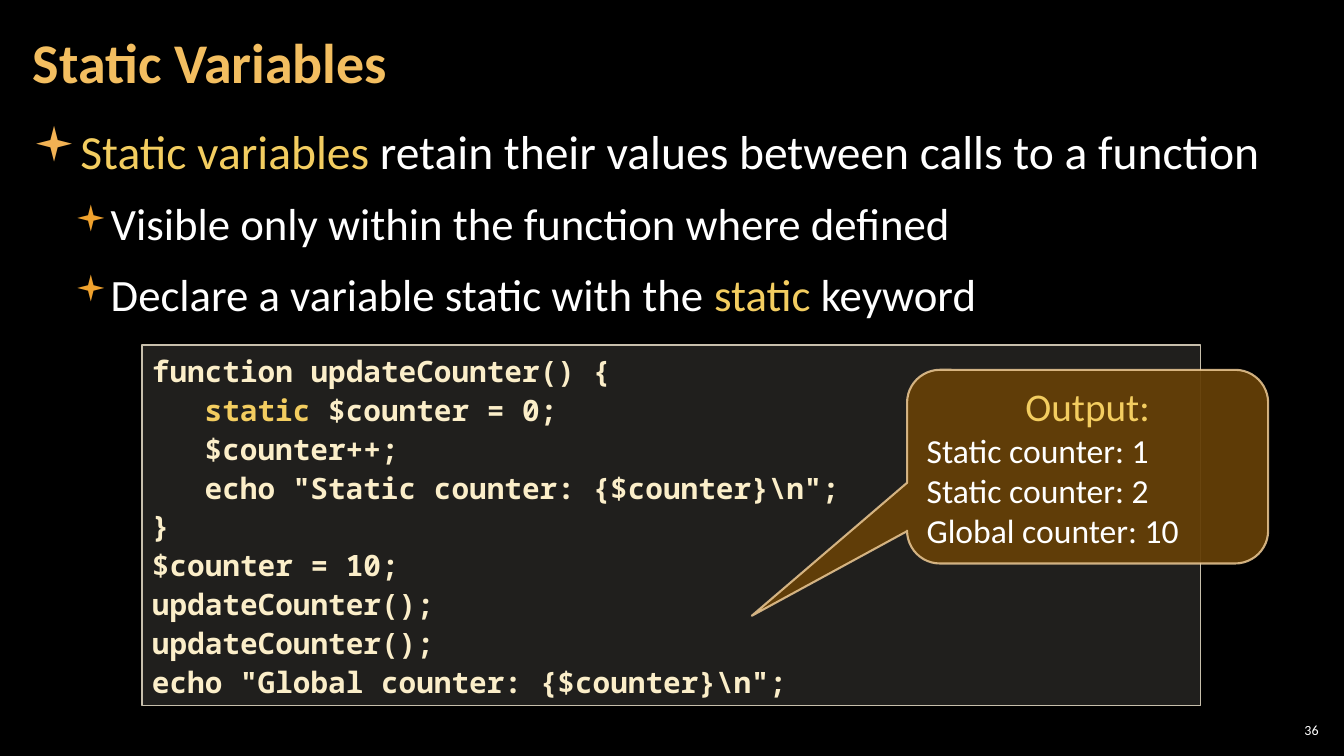
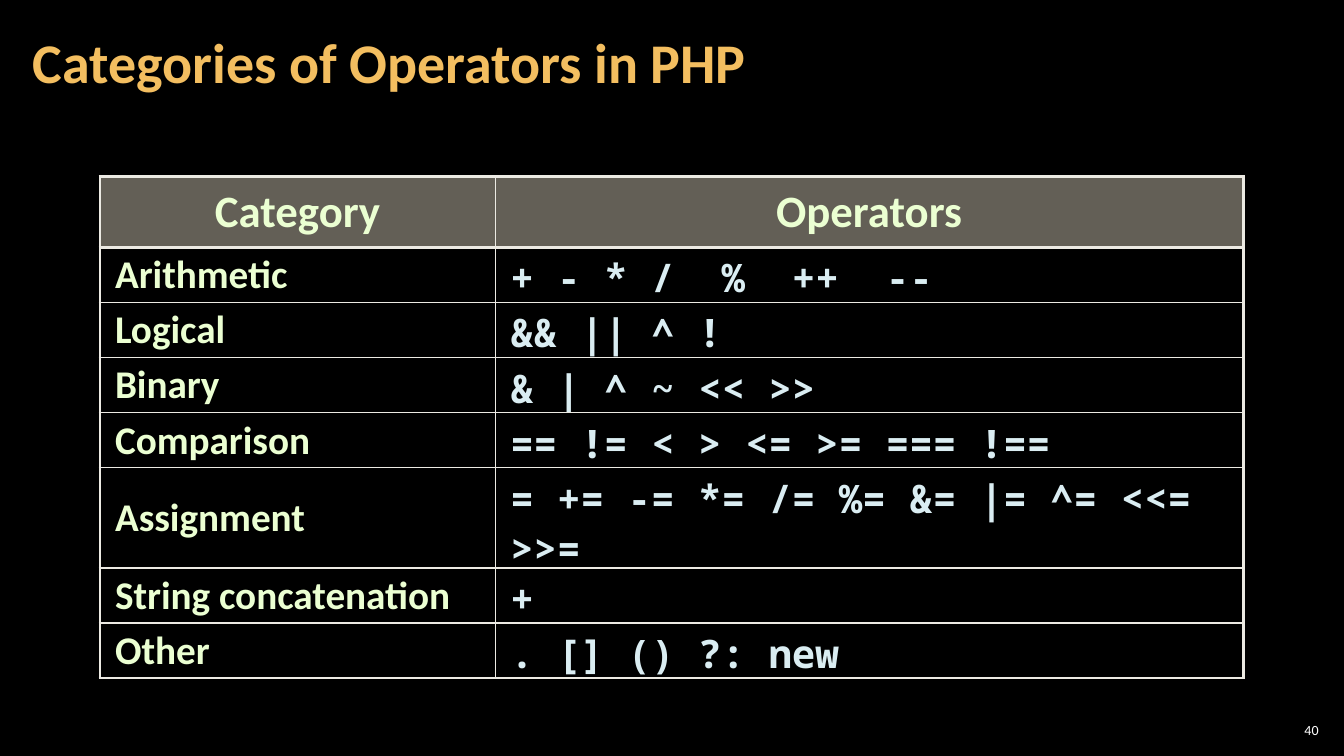
from lxml import etree
from pptx import Presentation
from pptx.dml.color import RGBColor
from pptx.enum import shapes, text
from pptx.oxml import ns
from pptx.util import Cm, Pt

BLACK = RGBColor(0x00, 0x00, 0x00)
WHITE = RGBColor(0xFF, 0xFF, 0xFF)
GOLD = RGBColor(0xF3, 0xBE, 0x60)
YELLOW = RGBColor(0xF3, 0xCD, 0x60)
AMBER = RGBColor(0xF2, 0xB2, 0x54)
ORANGE = RGBColor(0xF0, 0xA2, 0x2E)
CREAM = RGBColor(0xFB, 0xEE, 0xC9)
PALE = RGBColor(0xD9, 0xD5, 0xC7)
SAND = RGBColor(0xC7, 0xBF, 0xAC)
BROWN = RGBColor(0x64, 0x3F, 0x07)
PEACH = RGBColor(0xF8, 0xD4, 0x9E)
LIME = RGBColor(0xEB, 0xFF, 0xD2)
ICE = RGBColor(0xDA, 0xED, 0xF2)
RULE = RGBColor(0xEC, 0xEA, 0xE3)

SANS = "Calibri"
MONO = "Noto Sans Mono"
LEFT, MID, RIGHT = text.PP_ALIGN.LEFT, text.PP_ALIGN.CENTER, text.PP_ALIGN.RIGHT
CENTRE = text.MSO_ANCHOR.MIDDLE

BODY = [
    (0, [("Static variables ", True), ("retain their values between calls to a function", False)]),
    (1, [("Visible only within the function where defined", False)]),
    (1, [("Declare a variable static with the ", False), ("static", True), (" keyword", False)]),
]
CODE = [
    (0, [("function updateCounter() {", False)]),
    (1, [("static ", True), ("$counter = 0;", False)]),
    (1, [("$counter++;", False)]),
    (1, [('echo "Static counter: {$counter}\\n";', False)]),
    (0, [("}", False)]),
    (0, [("$counter = 10;", False)]),
    (0, [("updateCounter();", False)]),
    (0, [("updateCounter();", False)]),
    (0, [('echo "Global counter: {$counter}\\n";', False)]),
]
OUTPUT = ["Static counter: 1", "Static counter: 2", "Global counter: 10"]
TABLE = [
    ("Category", "Operators"),
    ("Arithmetic", "+ - * /  %  ++  --"),
    ("Logical", "&& || ^ !"),
    ("Binary", "& | ^ ~ << >>"),
    ("Comparison", "== != < > <= >= === !=="),
    ("Assignment", "= += -= *= /= %= &= |= ^= <<= >>="),
    ("String concatenation", "+"),
    ("Other", ". [] () ?: new"),
]


def node(parent, tag, **attrs):
    """Add a drawing element with attributes."""
    item = etree.SubElement(parent, ns.qn(tag))
    for key, value in attrs.items():
        item.set(key, str(value))
    return item


def fade(fill, percent):
    """Set the opacity of a solid fill."""
    color = fill._xPr.find(ns.qn("a:solidFill"))[0]
    node(color, "a:alpha", val=percent * 1000)


def style(font, size, color, name=SANS, bold=False):
    """Set the look of a font."""
    font.size, font.name, font.bold = Pt(size), name, bold
    font.color.rgb = color


def lines(frame, count):
    """Return the given number of paragraphs of a frame."""
    return [frame.paragraphs[0]] + [frame.add_paragraph() for _ in range(count - 1)]


def fill_runs(para, parts):
    """Add runs and highlight the marked ones."""
    for words, hot in parts:
        run = para.add_run()
        run.text = words
        if hot:
            run.font.color.rgb = YELLOW


def set_pad(frame, side, edge):
    """Wrap a frame and set its margins."""
    frame.word_wrap = True
    frame.margin_left = frame.margin_right = Cm(side)
    frame.margin_top = frame.margin_bottom = Cm(edge)


def indent(para, left, hang=0):
    """Set the left margin and hanging indent."""
    props = para._p.get_or_add_pPr()
    props.set("marL", str(Cm(left)))
    props.set("indent", str(-Cm(hang)))
    return props


def add_base(deck, title, number):
    """Add a slide with its title and number."""
    slide = deck.slides.add_slide(deck.slide_layouts[5])
    head = slide.shapes.title
    head.left, head.top, head.width, head.height = Cm(0.53), Cm(0.1), Cm(26.6), Cm(3.07)
    head.text_frame.text = title
    set_pad(head.text_frame, 0.3, 0.1)
    head.text_frame.vertical_anchor = CENTRE
    para = head.text_frame.paragraphs[0]
    para.alignment, para.line_spacing = LEFT, 0.9
    style(para.font, 40, GOLD, bold=True)

    foot = slide.shapes.add_textbox(Cm(32.13), Cm(18.14), Cm(1.2), Cm(0.53)).text_frame
    set_pad(foot, 0.1, 0.1)
    foot.vertical_anchor = CENTRE
    foot.text = str(number)
    foot.paragraphs[0].alignment = RIGHT
    style(foot.paragraphs[0].font, 10, WHITE)
    return slide


def add_body(slide, box):
    """Add the bulleted list."""
    frame = slide.shapes.add_textbox(*map(Cm, box)).text_frame
    set_pad(frame, 0.3, 0.1)
    looks = [(34, 0.85, 0.85, AMBER, 100), (32, 1.7, 0.64, ORANGE, 80)]
    for para, (level, parts) in zip(lines(frame, len(BODY)), BODY):
        size, left, hang, color, scale = looks[level]
        para.level = level
        para.space_before = para.space_after = Pt(6)
        props = indent(para, left, hang)
        node(node(props, "a:buClr"), "a:srgbClr", val=color)
        node(props, "a:buSzPct", val=scale * 1000)
        node(props, "a:buFont", typeface="Wingdings")
        node(props, "a:buChar", char="▪")
        style(para.font, size, WHITE)
        fill_runs(para, parts)


def add_panel(slide, kind, box, fill, opacity, line, width):
    """Add a translucent outlined shape."""
    panel = slide.shapes.add_shape(kind, *map(Cm, box))
    panel.shadow.inherit = False
    panel.fill.solid()
    panel.fill.fore_color.rgb = fill
    fade(panel.fill, opacity)
    panel.line.color.rgb = line
    panel.line.width = Pt(width)
    set_pad(panel.text_frame, 0.25, 0.13)
    return panel


def add_code(slide, box):
    """Add the code listing."""
    panel = add_panel(slide, shapes.MSO_SHAPE.RECTANGLE, box, PALE, 15, SAND, 1)
    frame = panel.text_frame
    frame.vertical_anchor = text.MSO_ANCHOR.TOP
    for para, (depth, parts) in zip(lines(frame, len(CODE)), CODE):
        para.alignment, para.line_spacing = LEFT, 1.1
        indent(para, 1.33 * depth)
        style(para.font, 21, CREAM, MONO, True)
        fill_runs(para, parts)


def add_output(slide, box):
    """Add the callout with the program output."""
    kind = shapes.MSO_SHAPE.ROUNDED_RECTANGULAR_CALLOUT
    panel = add_panel(slide, kind, box, BROWN, 95, PEACH, 1.5)
    fade(panel.line.fill, 80)
    for spot, value in enumerate((-0.93, 0.77, 0.17)):
        panel.adjustments[spot] = value
    frame = panel.text_frame
    frame.vertical_anchor = CENTRE
    head, *rest = lines(frame, len(OUTPUT) + 1)
    head.text, head.alignment = "Output:", MID
    style(head.font, 28, YELLOW)
    for para, words in zip(rest, OUTPUT):
        para.text, para.alignment = words, LEFT
        style(para.font, 24, WHITE)


def add_edges(cell, thick):
    """Draw cell borders, heavy on the named sides."""
    props = cell._tc.get_or_add_tcPr()
    for side in "LRTB":
        width = Pt(2.25 if side in thick else 1)
        line = node(props, "a:ln" + side, w=width)
        node(node(line, "a:solidFill"), "a:srgbClr", val=RULE)


def add_grid(slide, left, top, widths, heights):
    """Add the table of operators."""
    size = [Cm(sum(widths)), Cm(sum(heights))]
    grid = slide.shapes.add_table(len(heights), len(widths), Cm(left), Cm(top), *size).table
    grid.first_row = grid.horz_banding = False
    for column, width in zip(grid.columns, widths):
        column.width = Cm(width)
    for r, (row, height) in enumerate(zip(TABLE, heights)):
        grid.rows[r].height = Cm(height)
        for c, words in enumerate(row):
            cell = grid.cell(r, c)
            thick = "LR"[c] + ("TB" if r == 0 else "T" if r == 1 else "")
            add_edges(cell, thick + ("B" if r == len(TABLE) - 1 else ""))
            if r == 0:
                cell.fill.solid()
                cell.fill.fore_color.rgb = SAND
                fade(cell.fill, 50)
            else:
                cell.fill.background()
            cell.margin_left = cell.margin_right = Cm(0.38)
            cell.margin_top = cell.margin_bottom = Cm(0.13)
            cell.vertical_anchor = CENTRE
            cell.text = words
            para = cell.text_frame.paragraphs[0]
            para.alignment, para.line_spacing = (LEFT if r else MID), 0.95
            code = r > 0 and c == 1
            style(para.font, 28 if r else 32, ICE if code else LIME, MONO if code else SANS, True)


def main():
    """Build both slides and save them."""
    deck = Presentation()
    deck.slide_width, deck.slide_height = Cm(33.87), Cm(19.05)
    back = deck.slide_master.background.fill
    back.solid()
    back.fore_color.rgb = BLACK

    slide = add_base(deck, "Static Variables", 36)
    add_body(slide, (0.53, 2.97, 32.8, 5.5))
    add_code(slide, (3.58, 8.69, 26.67, 9.09))
    add_output(slide, (22.86, 9.32, 9.1, 4.88))

    slide = add_base(deck, "Categories of Operators in PHP", 40)
    heights = [1.78] + [1.38] * 4 + [2.53] + [1.38] * 2
    add_grid(slide, 2.52, 4.45, (9.96, 18.85), heights)
    deck.save("out.pptx")


if __name__ == "__main__":
    main()
